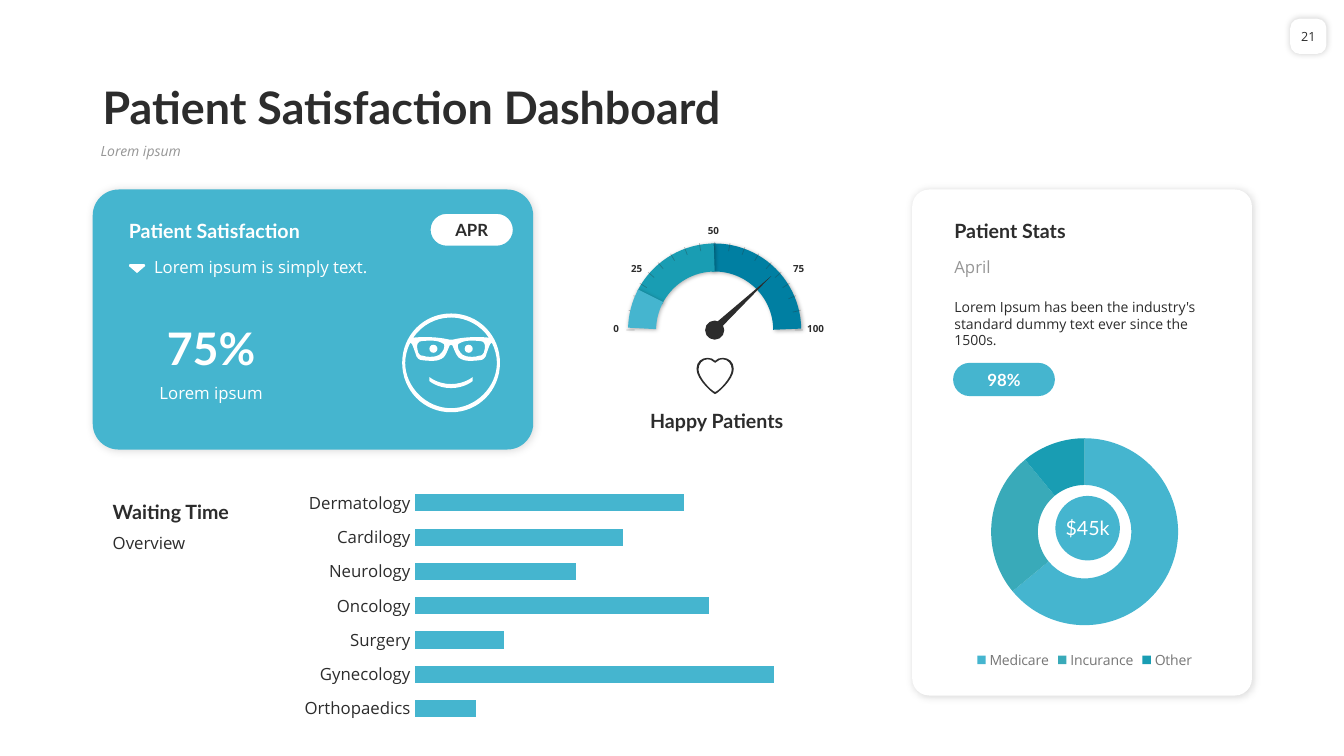
from math import cos, radians, sin

from lxml import etree
from pptx import Presentation
from pptx.chart.data import CategoryChartData
from pptx.dml.color import RGBColor
from pptx.enum.chart import XL_CHART_TYPE as CHART, XL_LEGEND_POSITION as LEGEND
from pptx.enum.chart import XL_TICK_MARK as TICK
from pptx.enum.shapes import MSO_CONNECTOR as CONNECTOR, MSO_SHAPE as SHAPE
from pptx.enum.text import MSO_ANCHOR as ANCHOR, PP_ALIGN as ALIGN
from pptx.oxml.ns import qn
from pptx.util import Inches, Pt

# One grid column or row is a tenth of an inch
CELL = Inches(0.1)
COLUMNS, ROWS = 133.33, 75
HEADING, BODY = "Lato", "Open Sans"
INK, GRAY, WHITE = "2C2C2C", "969696", "FFFFFF"
SKY, SEA, TEAL, DEEP = "45B5CF", "39AAB9", "199DB3", "007FA2"
GAUGE_X, GAUGE_Y, GAUGE_RADIUS = 70.9, 32.75, 7.2
TICK_ANGLES = (0, 13, 23, 32, 41, 50, 60, 70, 80, 90)
FACE_X, HEART_X = 44.75, 70.95


def grid(*cells):
    return [round(cell * CELL) for cell in cells]


def color(hex_string):
    return RGBColor.from_string(hex_string)


def style_font(font, size, hex_string, name=BODY, bold=False, italic=False):
    font.size, font.name, font.bold, font.italic = Pt(size), name, bold, italic
    font.color.rgb = color(hex_string)


def write(shape, text, size, hex_string, name=BODY, bold=False, italic=False,
          align=ALIGN.LEFT, anchor=ANCHOR.TOP, wrap=True, side=1, spacing=None):
    frame = shape.text_frame
    frame.word_wrap, frame.vertical_anchor = wrap, anchor
    frame.margin_left = frame.margin_right = round(side * CELL)
    paragraph = frame.paragraphs[0]
    paragraph.text, paragraph.alignment = text, align
    paragraph.line_spacing = spacing
    style_font(paragraph.font, size, hex_string, name, bold, italic)


def add_text(slide, box, text, size, hex_string, **options):
    write(slide.shapes.add_textbox(*grid(*box)), text, size, hex_string, **options)


def add_heading(slide, box, text, hex_string=INK, **options):
    add_text(slide, box, text, 14, hex_string, name=HEADING, bold=True,
             **{"anchor": ANCHOR.BOTTOM, **options})


def paint(shape, fill=None, line=None, width=1):
    shape.shadow.inherit = False
    if fill:
        shape.fill.solid()
        shape.fill.fore_color.rgb = color(fill)
    else:
        shape.fill.background()
    if line:
        shape.line.color.rgb = color(line)
        shape.line.width = Pt(width)
    else:
        shape.line.fill.background()


def add_shape(slide, kind, box, fill=None, line=None, width=1, adjust=()):
    shape = slide.shapes.add_shape(kind, *grid(*box))
    paint(shape, fill, line, width)
    for index, value in enumerate(adjust):
        shape.adjustments[index] = value
    return shape


def add_shadow(shape, opacity, blur, distance):
    effects = shape._element.spPr.find(qn("a:effectLst"))
    shadow = etree.SubElement(effects, qn("a:outerShdw"), blurRad=str(Pt(blur)),
                              dist=str(Pt(distance)), dir=str(45 * 60000))
    black = etree.SubElement(shadow, qn("a:srgbClr"), val="000000")
    etree.SubElement(black, qn("a:alpha"), val=str(opacity * 1000))


def add_card(slide, box, fill, corner, shadow=(15, 6, 1)):
    card = add_shape(slide, SHAPE.ROUNDED_RECTANGLE, box, fill, adjust=[corner])
    add_shadow(card, *shadow)
    return card


def add_pill(slide, box, text, fill, ink, line=None):
    pill = add_shape(slide, SHAPE.ROUNDED_RECTANGLE, box, fill, line, adjust=[0.5])
    write(pill, text, 12, ink, name=HEADING, bold=True, align=ALIGN.CENTER,
          anchor=ANCHOR.MIDDLE, side=0)
    pill.text_frame.margin_top = pill.text_frame.margin_bottom = 0


def add_disc(slide, x, y, radius, fill):
    return add_shape(slide, SHAPE.OVAL, (x - radius, y - radius, 2 * radius, 2 * radius), fill)


def trace(start, *curves):
    """Points of joined cubic curves; a curve of one point is a straight line."""
    return [start] + [point for curve in curves for point in (curve * 3)[:3]]


def mirror(points, axis):
    return [(2 * axis - x, y) for x, y in reversed(points)]


def whole(half, axis):
    """Close a left half, traced from axis to axis, with its reflection."""
    return half + mirror(half, axis)[1:]


def add_outline(slide, contours, fill):
    builder = slide.shapes.build_freeform(*grid(*contours[0][0]))
    for index, contour in enumerate(contours):
        if index:
            builder.move_to(*grid(*contour[0]))
        builder.add_line_segments([grid(*point) for point in contour[1:]])
    shape = builder.convert_to_shape()
    paint(shape, fill)
    bend(shape)


def bend(shape):
    """Turn every three line segments of a freeform into one cubic curve."""
    segments = list(shape._element.spPr.iter(qn("a:lnTo")))
    for first in range(0, len(segments), 3):
        curve = etree.Element(qn("a:cubicBezTo"))
        segments[first].addprevious(curve)
        for segment in segments[first:first + 3]:
            curve.append(segment[0])
            segment.getparent().remove(segment)


def add_face(slide):
    smile = trace((FACE_X, 38.1), [(43.4, 38.1), (42.6, 37.4), (42.6, 37.4)], [(42.6, 37.8)],
                  [(42.6, 37.8), (43.4, 38.5), (FACE_X, 38.5)])
    add_outline(slide, [whole(smile, FACE_X)], WHITE)
    head = trace((FACE_X, 31.1), [(42, 31.1), (39.9, 33.3), (39.9, 36)],
                 [(39.9, 38.7), (42, 40.9), (FACE_X, 40.9)])
    forehead = trace((FACE_X, 31.5), [(43.2, 31.5), (41.8, 32.3), (41, 33.5)],
                     [(41.9, 33.4), (43.4, 33.4), (44.6, 33.7)], [(FACE_X, 33.7)])
    cheeks = trace((FACE_X, 40.5), [(42.3, 40.5), (40.2, 38.4), (40.2, 36)],
                   [(40.2, 35.3), (40.4, 34.6), (40.7, 34)],
                   [(40.9, 34.1), (40.9, 34.2), (40.9, 34.2)],
                   [(40.9, 34.2), (41, 34.4), (41.2, 35)],
                   [(41.3, 35.6), (41.7, 35.7), (41.7, 35.7)],
                   [(41.7, 35.7), (42.2, 35.8), (42.7, 35.8)],
                   [(43.2, 35.8), (43.4, 35.8), (43.8, 35.6)],
                   [(44.1, 35.5), (44.3, 35), (44.3, 35)],
                   [(44.3, 35), (44.5, 34.6), (44.6, 34.3)],
                   [(44.6, 34.2), (44.6, 34.2), (FACE_X, 34.2)])
    lens = trace((44, 34.7), [(43.9, 34.8), (43.8, 35.1), (43.6, 35.2)],
                 [(43.4, 35.3), (43.2, 35.4), (42.7, 35.4)],
                 [(42.4, 35.4), (42.2, 35.4), (42, 35.3)],
                 [(41.8, 35.3), (41.7, 35.3), (41.5, 35)],
                 [(41.5, 34.9), (41.4, 34.7), (41.4, 34.6)],
                 [(41.4, 34.5), (41.3, 34.1), (41.6, 33.9)],
                 [(41.8, 33.8), (42.5, 33.8), (42.8, 33.8)],
                 [(43, 33.8), (43.4, 33.8), (43.8, 34)],
                 [(44.3, 34.1), (44, 34.6), (44, 34.7)])
    halves = [whole(half, FACE_X) for half in (head, forehead, cheeks)]
    add_outline(slide, [*halves, lens, mirror(lens, FACE_X)], WHITE)
    for side in (-1, 1):
        add_disc(slide, FACE_X + side * 1.75, 34.6, 0.4, WHITE)


def add_gauge_band(slide, start, end, hex_string):
    box = (GAUGE_X - GAUGE_RADIUS, GAUGE_Y - GAUGE_RADIUS, 2 * GAUGE_RADIUS, 2 * GAUGE_RADIUS)
    # Angles are stored in 60000ths of a degree, adjustments in 100000ths
    band = add_shape(slide, SHAPE.ARC, box, line=hex_string, width=20,
                     adjust=[start * 0.6, end * 0.6])
    add_shadow(band, 30, 3, 1)


def add_tick(slide, degrees):
    across, up = cos(radians(degrees)), sin(radians(degrees))
    ends = [(GAUGE_X + r * across, GAUGE_Y - r * up) for r in (8.75, 7.95)]
    tick = slide.shapes.add_connector(CONNECTOR.STRAIGHT, *grid(*ends[0], *ends[1]))
    tick.line.color.rgb, tick.line.width = color(INK), Pt(0.5)
    properties = tick._element.spPr
    ink = next(properties.iter(qn("a:srgbClr")))
    etree.SubElement(ink, qn("a:alpha"), val="30000")
    etree.SubElement(properties, qn("a:effectLst"))


def add_gauge(slide):
    add_gauge_band(slide, 267.6, 359.3, DEEP)
    add_gauge_band(slide, 206.49, 269.61, TEAL)
    add_disc(slide, GAUGE_X, GAUGE_Y, 0.95, INK)
    for degrees in sorted({*TICK_ANGLES, *(180 - angle for angle in TICK_ANGLES)}):
        add_tick(slide, degrees)
    for text, box, align in (("0", (59.8, 31.5, 2.6, 2.2), ALIGN.RIGHT),
                             ("25", (61.6, 25.5, 3.1, 2.2), ALIGN.RIGHT),
                             ("50", (69.2, 21.8, 3.1, 2.2), ALIGN.RIGHT),
                             ("75", (77.7, 25.5, 3.1, 2.2), ALIGN.LEFT),
                             ("100", (79.1, 31.5, 4.5, 2.2), ALIGN.LEFT)):
        add_text(slide, box, text, 7, INK, bold=True, align=align, anchor=ANCHOR.MIDDLE,
                 wrap=text == "100")
    add_gauge_band(slide, 181.33, 208.21, SKY)
    add_heading(slide, (57.9, 40, 26.4, 3.4), "Happy Patients", align=ALIGN.CENTER,
                anchor=ANCHOR.MIDDLE, side=0.4)
    add_shape(slide, SHAPE.ISOSCELES_TRIANGLE, (73.1, 26.1, 0.8, 8.2), INK).rotation = 47
    outer = trace((HEART_X, 35.8), [(70.8, 35.6), (70.5, 35.5), (70.2, 35.5)],
                  [(69.6, 35.5), (69.1, 35.9), (69.1, 36.6)],
                  [(69.1, 37.7), (70.8, 39.1), (HEART_X, 39.1)])
    inner = trace((HEART_X, 36), [(70.8, 35.9)], [(70.6, 35.7), (70.4, 35.65), (70.2, 35.65)],
                  [(69.7, 35.65), (69.3, 36.1), (69.3, 36.65)],
                  [(69.3, 37.5), (70.6, 38.8), (HEART_X, 38.9)])
    add_outline(slide, [whole(half, HEART_X) for half in (outer, inner)], INK)


def add_chart(slide, kind, box, values, size):
    data = CategoryChartData()
    data.categories = list(values)
    data.add_series("Series 1", list(values.values()))
    chart = slide.shapes.add_chart(kind, *grid(*box), data).chart
    chart.has_title = chart.has_legend = False
    style_font(chart.font, size, INK)
    return chart


def add_waiting_chart(slide):
    times = {"Dermatology": 75, "Cardilogy": 58, "Neurology": 45, "Oncology": 82,
             "Surgery": 25, "Gynecology": 100, "Orthopaedics": 17}
    chart = add_chart(slide, CHART.BAR_CLUSTERED, (29.1, 47.7, 55.9, 24.8), times, 12)
    plot, categories, scale = chart.plots[0], chart.category_axis, chart.value_axis
    plot.gap_width, plot.vary_by_categories = 100, False
    fill = plot.series[0].format.fill
    fill.solid()
    fill.fore_color.rgb = color(SKY)
    categories.reverse_order = True
    categories.major_tick_mark = TICK.NONE
    categories.format.line.fill.background()
    style_font(categories.tick_labels.font, 12, INK)
    scale.has_major_gridlines = scale.visible = False


def add_payer_chart(slide):
    shares = {"Medicare": 64, "Incurance": 25, "Other": 11}
    chart = add_chart(slide, CHART.DOUGHNUT, (91.9, 42.1, 31.4, 24.7), shares, 10)
    plot = chart.plots[0]
    next(chart._chartSpace.iter(qn("c:holeSize"))).set("val", "75")
    for index, hex_string in enumerate((SKY, SEA, TEAL)):
        fill = plot.series[0].points[index].format.fill
        fill.solid()
        fill.fore_color.rgb = color(hex_string)
    chart.has_legend = True
    chart.legend.position, chart.legend.include_in_layout = LEGEND.BOTTOM, False
    style_font(chart.legend.font, 10, "767676")


def add_satisfaction_card(slide):
    add_card(slide, (9.2, 18.8, 43.7, 25.8), SKY, 0.1)
    add_text(slide, (12.8, 31.2, 16.3, 6.4), "75%", 32, WHITE, name=HEADING, bold=True,
             align=ALIGN.CENTER, anchor=ANCHOR.BOTTOM)
    add_text(slide, (12.8, 37.5, 16.3, 3), "Lorem ipsum", 12, WHITE, align=ALIGN.CENTER)
    add_pill(slide, (42.65, 21.15, 8.3, 3.3), "APR", WHITE, INK, SKY)
    add_heading(slide, (11.8, 21.1, 25.1, 3.4), "Patient Satisfaction", WHITE)
    add_text(slide, (14.3, 25, 36.7, 3), "Lorem ipsum is simply text.", 12, WHITE)
    marker = trace((13.6, 26.2), [(12.9, 26.2)], [(12.8, 26.2), (12.8, 26.3), (12.8, 26.4)],
                   [(13.5, 27)], [(13.5, 27.1), (13.6, 27.1), (13.6, 27.1)])
    add_outline(slide, [whole(marker, 13.6)], WHITE)
    add_face(slide)


def add_stats_card(slide):
    add_card(slide, (90.5, 18.8, 33.7, 50.2), WHITE, 0.05)
    add_heading(slide, (93.7, 21.1, 29.6, 3.4), "Patient Stats")
    add_text(slide, (93.7, 25, 29.6, 3), "April", 12, GRAY)
    add_pill(slide, (94.55, 36, 10.1, 3.3), "98%", SKY, WHITE)
    add_text(slide, (93.7, 29.1, 29.6, 4.4), "Lorem Ipsum has been the industry's standard "
             "dummy text ever since the 1500s.", 10, INK)
    add_payer_chart(slide)
    write(add_disc(slide, 107.9, 52.4, 3.2, SKY), "$45k", 14, WHITE, name=HEADING,
          align=ALIGN.CENTER, anchor=ANCHOR.MIDDLE, wrap=False, side=0)


def main():
    presentation = Presentation()
    presentation.slide_width, presentation.slide_height = grid(COLUMNS, ROWS)
    slide = presentation.slides.add_slide(presentation.slide_layouts[6])
    add_text(slide, (9.2, 5.8, 115, 8), "Patient Satisfaction Dashboard", 32, INK,
             name=HEADING, bold=True, anchor=ANCHOR.BOTTOM, spacing=0.9)
    add_text(slide, (9, 13.8, 115.2, 3.6), "Lorem ipsum", 10, GRAY, italic=True, spacing=0.9)
    badge = add_card(slide, (128, 1.85, 3.6, 3.5), WHITE, 0.27, shadow=(20, 5, 0))
    # The badge shows as plain white, so its shadow is dropped
    badge.shadow.inherit = False
    write(badge, "21", 9, INK, align=ALIGN.CENTER, anchor=ANCHOR.MIDDLE, wrap=False, side=0)
    add_satisfaction_card(slide)
    add_gauge(slide)
    add_heading(slide, (10.2, 49, 28.6, 3.4), "Waiting Time")
    add_text(slide, (10.2, 52.4, 28.6, 3), "Overview", 12, INK)
    add_waiting_chart(slide)
    add_stats_card(slide)
    presentation.save("out.pptx")


if __name__ == "__main__":
    main()
